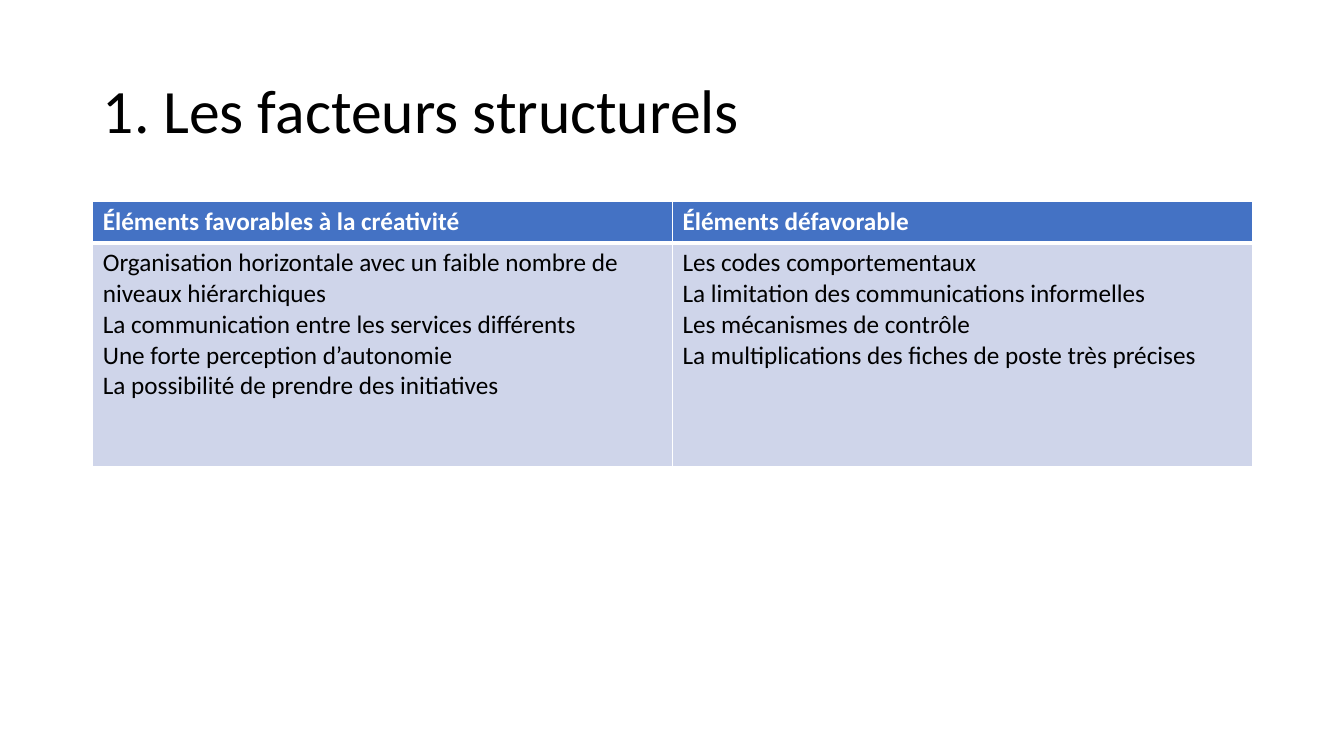
from dataclasses import dataclass

from lxml import etree
from pptx import Presentation
from pptx.dml.color import RGBColor
from pptx.enum.text import MSO_ANCHOR, MSO_AUTO_SIZE, PP_ALIGN
from pptx.oxml.ns import qn
from pptx.util import Inches, Pt

LEFT = PP_ALIGN.LEFT
MIDDLE = MSO_ANCHOR.MIDDLE
TOP = MSO_ANCHOR.TOP
NO_AUTOFIT = MSO_AUTO_SIZE.NONE
TITLE_ONLY = 5


@dataclass(frozen=True)
class Theme:
    font: str = "Calibri"
    title_size: int = 44
    table_size: int = 18
    text: str = "000000"
    white: str = "FFFFFF"
    header: str = "4472C4"
    body: str = "CFD5EA"
    thin: int = 1
    thick: int = 3


def write_text(frame, text, *, font, size, color, bold=False, spacing=1.0, anchor=None):
    frame.word_wrap = True
    if anchor is not None:
        frame.vertical_anchor = anchor
    frame.text = text
    for paragraph in frame.paragraphs:
        paragraph.alignment = LEFT
        paragraph.line_spacing = spacing
        paragraph.font.name = font
        paragraph.font.size = Pt(size)
        paragraph.font.bold = bold
        paragraph.font.color.rgb = RGBColor.from_string(color)


class SlideBuilder:
    def __init__(self, slide, theme):
        self.slide = slide
        self.theme = theme

    def title(self, text, left, top, width, height):
        heading = self.slide.shapes.title
        heading.left, heading.top = Inches(left), Inches(top)
        heading.width, heading.height = Inches(width), Inches(height)
        write_text(heading.text_frame, text, font=self.theme.font,
                   size=self.theme.title_size, color=self.theme.text,
                   spacing=0.9, anchor=MIDDLE)
        heading.text_frame.auto_size = NO_AUTOFIT

    def borders(self, cell, **widths):
        properties = cell._tc.get_or_add_tcPr()
        for side, width in widths.items():
            line = etree.SubElement(properties, qn(f"a:ln{side}"), w=str(Pt(width)))
            fill = etree.SubElement(line, qn("a:solidFill"))
            etree.SubElement(fill, qn("a:srgbClr"), val=self.theme.white)

    def table(self, columns, left, top, width, row_heights):
        theme = self.theme
        grid = self.slide.shapes.add_table(
            len(row_heights), len(columns), Inches(left), Inches(top),
            Inches(width), Inches(sum(row_heights))).table
        for row, height in zip(grid.rows, row_heights):
            row.height = Inches(height)
        for index, (heading, factors) in enumerate(columns):
            grid.columns[index].width = Inches(width / len(columns))
            self.cell(grid.cell(0, index), heading, theme.header, theme.white,
                      bold=True, above=theme.thin, below=theme.thick)
            self.cell(grid.cell(1, index), "\n".join(factors), theme.body, theme.text,
                      bold=False, above=theme.thick, below=theme.thin)

    def cell(self, cell, text, fill, color, *, bold, above, below):
        thin = self.theme.thin
        self.borders(cell, L=thin, R=thin, T=above, B=below)
        cell.fill.solid()
        cell.fill.fore_color.rgb = RGBColor.from_string(fill)
        cell.vertical_anchor = TOP
        write_text(cell.text_frame, text, font=self.theme.font,
                   size=self.theme.table_size, color=color, bold=bold)


def main():
    presentation = Presentation()
    presentation.slide_width = Inches(13.33)
    presentation.slide_height = Inches(7.5)
    slide = presentation.slides.add_slide(presentation.slide_layouts[TITLE_ONLY])
    builder = SlideBuilder(slide, Theme())

    builder.title("1. Les facteurs structurels", 0.92, 0.4, 11.5, 1.45)
    structural_factors = [
        ("Éléments favorables à la créativité", [
            "Organisation horizontale avec un faible nombre de niveaux hiérarchiques",
            "La communication entre les services différents",
            "Une forte perception d’autonomie",
            "La possibilité de prendre des initiatives",
        ]),
        ("Éléments défavorable", [
            "Les codes comportementaux",
            "La limitation des communications informelles",
            "Les mécanismes de contrôle",
            "La multiplications des fiches de poste très précises",
        ]),
    ]
    builder.table(structural_factors, 0.92, 2, 11.5, [0.41, 2.22])
    presentation.save("out.pptx")


if __name__ == "__main__":
    main()
